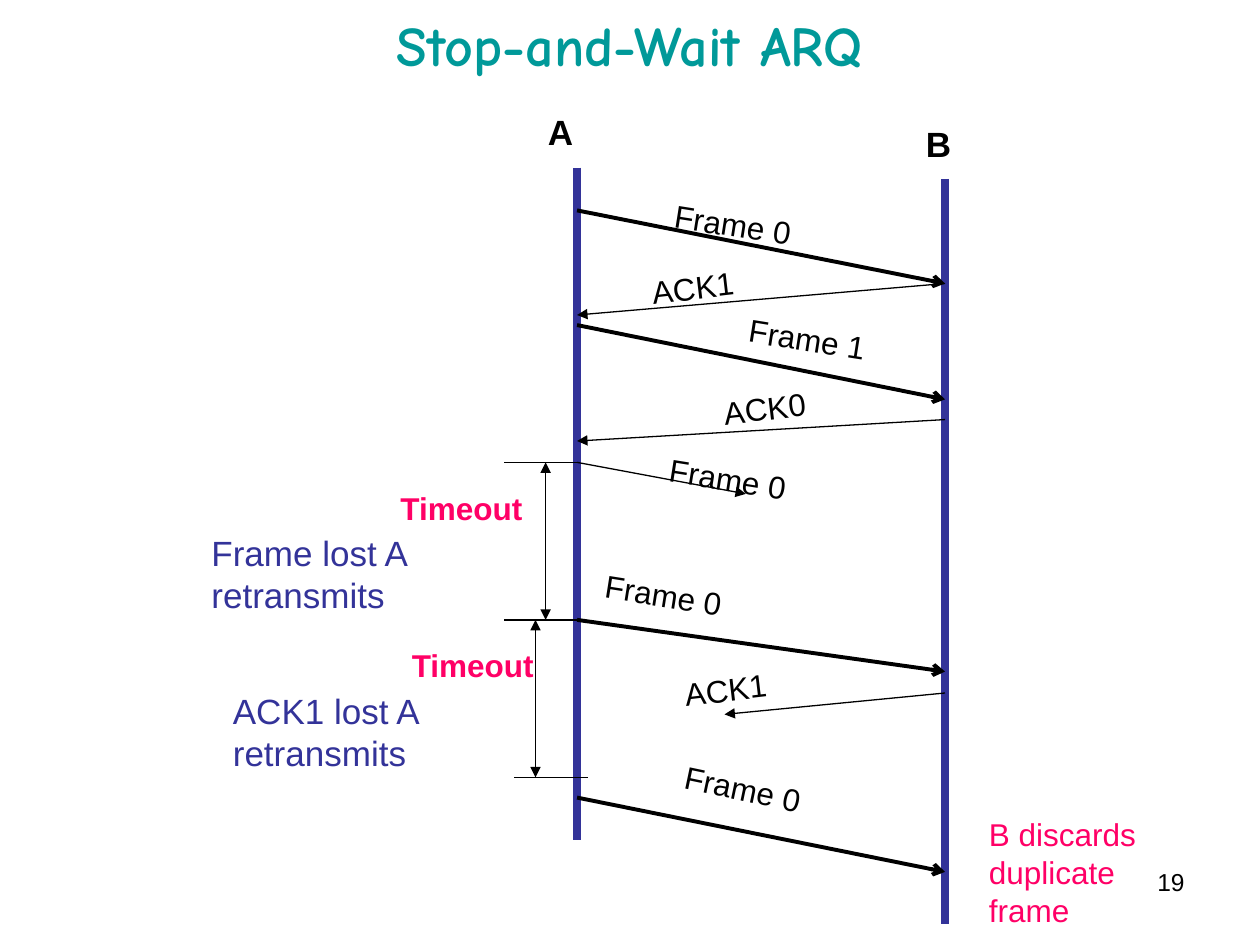
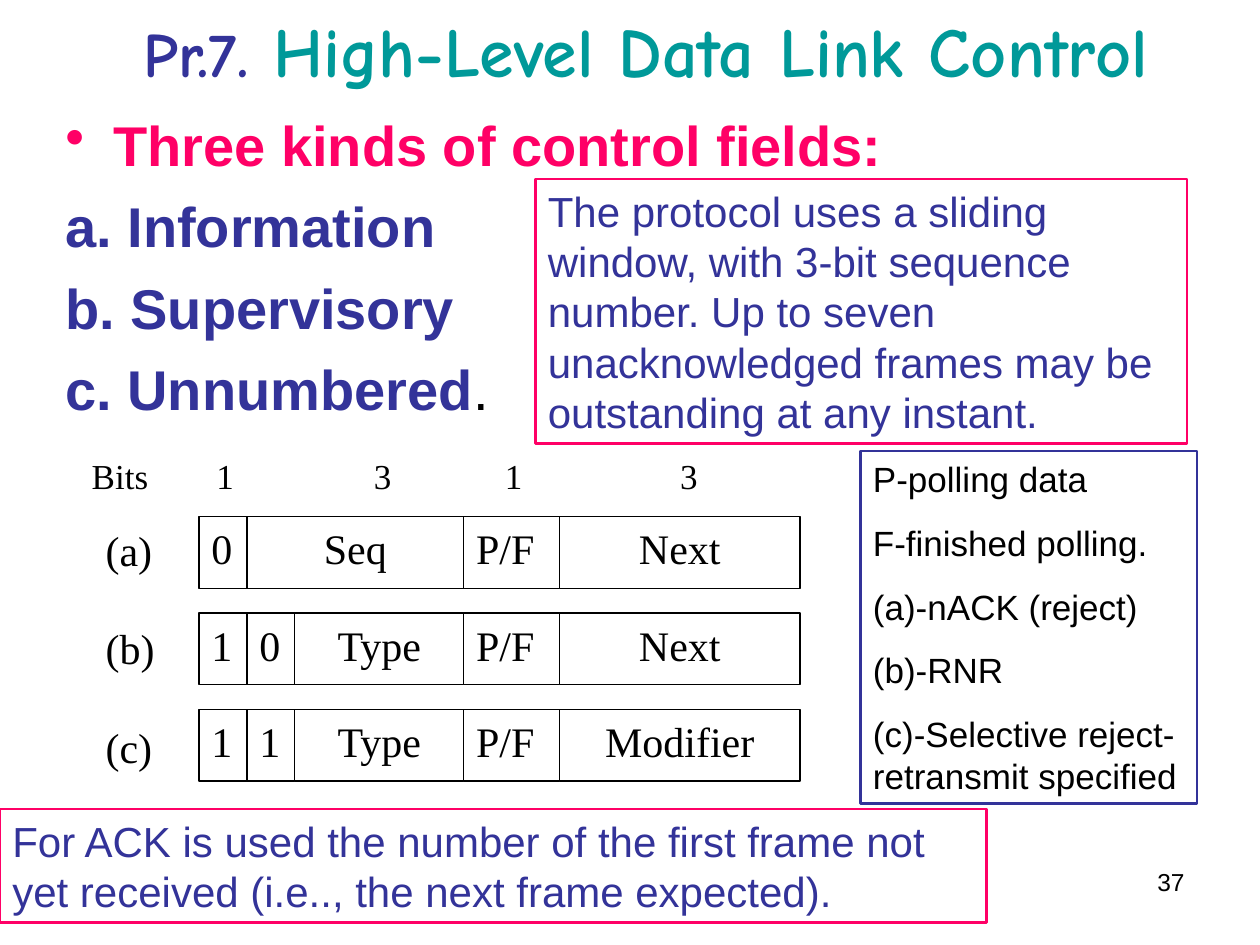
from lxml import etree
from pptx import Presentation
from pptx.dml.color import RGBColor
from pptx.enum.shapes import MSO_CONNECTOR as Connector, MSO_SHAPE as Shape
from pptx.enum.text import MSO_ANCHOR as Anchor, PP_ALIGN as Align
from pptx.oxml.ns import qn
from pptx.util import Inches, Pt

TEAL = RGBColor(0x00, 0x99, 0x99)
INDIGO = RGBColor(0x33, 0x33, 0x99)
PINK = RGBColor(0xFF, 0x00, 0x66)
BLACK = RGBColor(0x00, 0x00, 0x00)
WHITE = RGBColor(0xFF, 0xFF, 0xFF)

SANS, SERIF, COMIC = "Arial", "Times New Roman", "Comic Neue"


class Deck:
    """Holds the shared style and the slide being drawn."""

    def __init__(self):
        self.prs = Presentation()
        self.prs.slide_width, self.prs.slide_height = Inches(10), Inches(7.5)
        self.slide = None

    def new_slide(self, number):
        self.slide = self.prs.slides.add_slide(self.prs.slide_layouts[6])
        self.text(7.17, 6.83, 2.33, 0.52, str(number), 14, align=Align.RIGHT)

    def fill_text(self, frame, lines, size, color, font, bold, align, before):
        frame.word_wrap = True
        for i, line in enumerate(lines):
            para = frame.paragraphs[0] if i == 0 else frame.add_paragraph()
            para.text = line
            para.alignment = align
            para.font.size, para.font.name = Pt(size), font
            para.font.bold, para.font.color.rgb = bold, color
            if i:
                para.space_before = Pt(before)
        return frame.paragraphs

    def text(self, left, top, width, height, content, size, color=BLACK, font=SANS,
             bold=False, align=Align.LEFT, before=0, border=None, turn=0, anchor=Anchor.TOP):
        box = self.slide.shapes.add_textbox(
            Inches(left), Inches(top), Inches(width), Inches(height))
        box.rotation = turn
        box.text_frame.vertical_anchor = anchor
        if border:
            box.line.color.rgb, box.line.width = border, Pt(1.5)
        lines = [content] if isinstance(content, str) else content
        return self.fill_text(box.text_frame, lines, size, color, font, bold, align, before)

    def title(self, left, width, height, content, size):
        return self.text(left, 0, width, height, content, size, TEAL, COMIC, True,
                         Align.CENTER, anchor=Anchor.MIDDLE)[0]

    def field(self, left, top, width, height, content, align):
        cell = self.slide.shapes.add_shape(
            Shape.RECTANGLE, Inches(left), Inches(top), Inches(width), Inches(height))
        cell.shadow.inherit = False
        cell.fill.solid()
        cell.fill.fore_color.rgb = WHITE
        cell.line.color.rgb, cell.line.width = BLACK, Pt(0.75)
        cell.text_frame.vertical_anchor = Anchor.TOP
        self.fill_text(cell.text_frame, [content], 24, BLACK, SERIF, False, align, 0)

    def line(self, x1, y1, x2, y2, width=0.75, color=BLACK, head=None, tail=None):
        link = self.slide.shapes.add_connector(
            Connector.STRAIGHT, Inches(x1), Inches(y1), Inches(x2), Inches(y2))
        link.line.color.rgb, link.line.width = color, Pt(width)
        outline = link.line._get_or_add_ln()
        for tag, kind in (("a:headEnd", head), ("a:tailEnd", tail)):
            if kind:
                etree.SubElement(outline, qn(tag)).set("type", kind)
        etree.SubElement(link._element.spPr, qn("a:effectLst"))

    def bullet(self, para, color, indent):
        props = para._p.get_or_add_pPr()
        props.set("marL", str(Inches(indent)))
        props.set("indent", str(-Inches(indent)))
        mark_color = etree.Element(qn("a:buClr"))
        etree.SubElement(mark_color, qn("a:srgbClr")).set("val", str(color))
        mark = etree.Element(qn("a:buChar"))
        mark.set("char", "•")
        place = props.index(props.find(qn("a:defRPr")))
        props[place:place] = [mark_color, mark]

    def tab_stops(self, para, stops):
        props = para._p.get_or_add_pPr()
        tabs = etree.Element(qn("a:tabLst"))
        for stop in stops:
            tab = etree.SubElement(tabs, qn("a:tab"))
            tab.set("pos", str(Inches(stop)))
            tab.set("algn", "l")
        props.insert(props.index(props.find(qn("a:defRPr"))), tabs)


def stop_and_wait(deck):
    deck.new_slide(19)
    deck.title(0.5, 9, 0.7, "Stop-and-Wait ARQ", 32)

    # Stations and their time lines
    a_x, b_x = 4.58, 7.5
    for name, x, left, top, start, end in (("A", a_x, 4.25, 0.83, 1.33, 6.67),
                                           ("B", b_x, 7.25, 0.92, 1.42, 7.33)):
        deck.text(left, top, 0.5, 0.44, name, 20, bold=True)
        deck.line(x, start, x, end, 4.5, INDIGO)

    # Frames that arrive, acknowledgements, and the lost frame
    for sent, received in ((1.67, 2.25), (2.58, 3.17), (4.92, 5.33), (6.33, 6.92)):
        deck.line(a_x, sent, b_x, received, 2.25, tail="arrow")
    for sent, end_x, received in ((2.25, a_x, 2.5), (3.33, a_x, 3.5), (5.5, 5.75, 5.67)):
        deck.line(b_x, sent, end_x, received, tail="triangle")
    deck.line(a_x, 3.67, 5.92, 3.92, tail="triangle")

    # Slanted message labels
    for label, left, top in (("Frame 0", 5.21, 1.58), ("Frame 1", 5.8, 2.49),
                             ("Frame 0", 5.17, 3.6), ("Frame 0", 4.66, 4.52)):
        deck.text(left, top, 1.21, 0.42, label, 18, align=Align.CENTER, turn=9.1)
    for label, left, top in (("ACK1", 5, 2.08), ("ACK0", 5.57, 3.04), ("ACK1", 5.26, 5.27)):
        deck.text(left, top, 1, 0.42, label, 18, align=Align.CENTER, turn=-6.7)
    deck.text(5.33, 6.08, 1.33, 0.4, "Frame 0", 18, turn=11.9)

    # Timeouts
    for left, right, y in ((4, a_x, 3.67), (4, a_x, 4.92), (4.08, 4.67, 6.17)):
        deck.line(left, y, right, y)
    for x, start, end, left, top in ((4.33, 3.67, 4.92, 3.08, 3.83),
                                     (4.25, 4.92, 6.17, 3.17, 5.08)):
        deck.line(x, start, x, end, 1, head="triangle", tail="triangle")
        deck.text(left, top, 1.25, 0.4, "Timeout", 18, PINK, bold=True)

    # Remarks
    deck.text(1.58, 4.17, 2, 0.77, "Frame lost A retransmits", 20, INDIGO)
    deck.text(1.75, 5.42, 2, 0.77, "ACK1 lost A retransmits", 20, INDIGO)
    deck.text(7.75, 6.42, 1.83, 1, "B discards duplicate frame", 18, PINK)


def data_link_control(deck):
    deck.new_slide(37)
    title = deck.title(0.25, 9.75, 0.78, "Pr.7.", 40)
    prefix = title.runs[0].font
    prefix.size, prefix.color.rgb = Pt(36), INDIGO
    title.add_run().text = " High-Level Data Link Control"

    # Kinds of control fields
    kinds = deck.text(0.42, 0.83, 9.08, 2.65,
                      ["Three kinds of control fields:", "a. Information",
                       "b. Supervisory", "c. Unnumbered"],
                      32, INDIGO, bold=True, before=8)
    kinds[0].font.color.rgb = PINK
    deck.bullet(kinds[0], PINK, 0.38)
    full_stop = kinds[-1].add_run()
    full_stop.text = "."
    full_stop.font.bold, full_stop.font.color.rgb = False, BLACK

    # Field layouts, one row per kind
    bits = deck.text(0.63, 3.56, 5.73, 0.47, "Bits\t1\t3\t1\t3", 20, font=SERIF)
    deck.tab_stops(bits[0], (0.99, 2.24, 3.28, 4.67))
    deck.text(0.74, 4.11, 0.76, 2.1, ["(a)", "(b)", "(c)"], 24, font=SERIF, before=27.6)

    bit, poll, last = 0.38, 0.76, 1.91
    layouts = (
        (("0", bit), ("Seq", 1.72), ("P/F", poll), ("Next", last)),
        (("1", bit), ("0", bit), ("Type", 1.34), ("P/F", poll), ("Next", last)),
        (("1", bit), ("1", bit), ("Type", 1.34), ("P/F", poll), ("Modifier", last)),
    )
    for row, layout in enumerate(layouts):
        left = 1.58
        for name, width in layout:
            align = Align.LEFT if width in (bit, poll) else Align.CENTER
            deck.field(left, 4.1 + 0.765 * row, width, 0.57, name, align)
            left += width

    # Framed notes
    deck.text(4.25, 1.42, 5.17, 2.1,
              "The protocol uses a sliding window, with 3-bit sequence number. Up to seven "
              "unacknowledged frames may be outstanding at any instant.",
              24, INDIGO, border=PINK)
    deck.text(0, 6.42, 7.83, 0.9,
              "For ACK is used the number of the first frame not yet received "
              "(i.e.., the next frame expected).", 24, INDIGO, border=PINK)
    deck.text(6.83, 3.58, 2.67, 2.8,
              ["P-polling data", "F-finished polling.", "(a)-nACK (reject)", "(b)-RNR",
               "(c)-Selective reject-retransmit specified"],
              20, before=12.5, border=INDIGO)


def main():
    deck = Deck()
    stop_and_wait(deck)
    data_link_control(deck)
    deck.prs.save("out.pptx")


if __name__ == "__main__":
    main()
